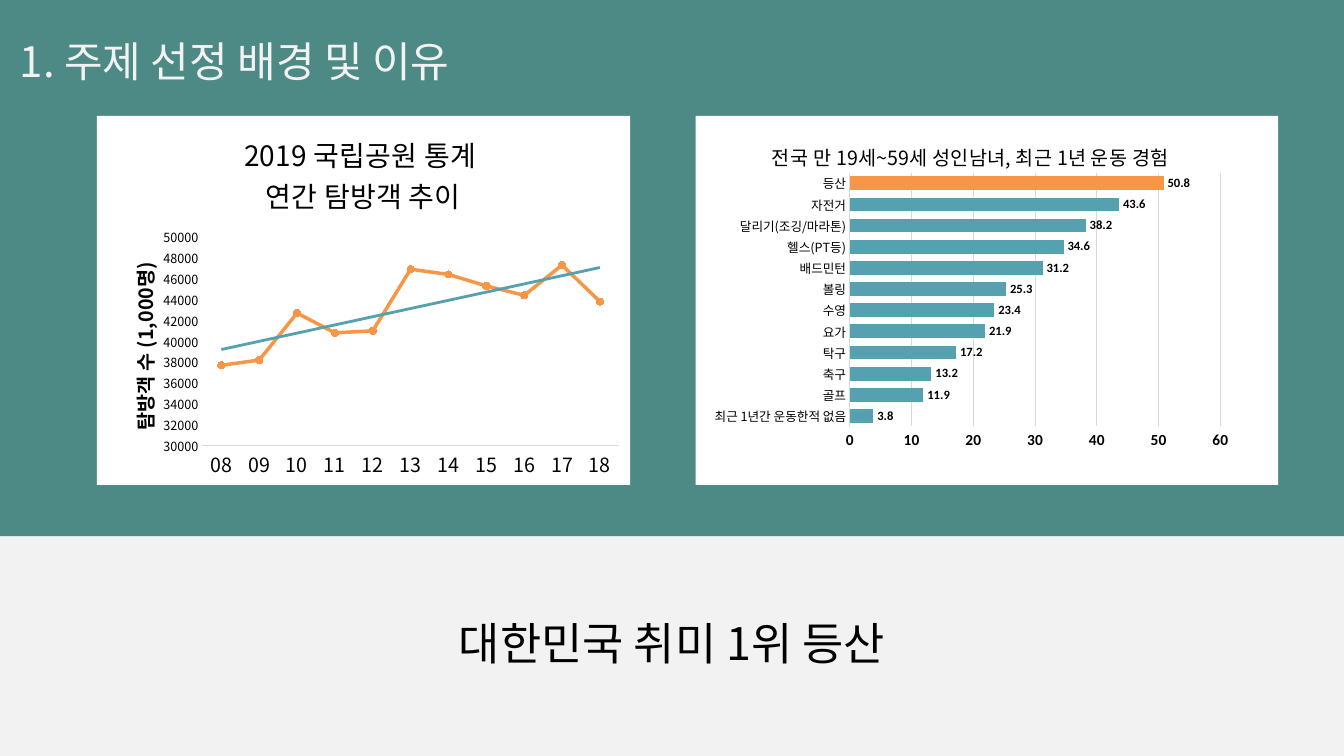
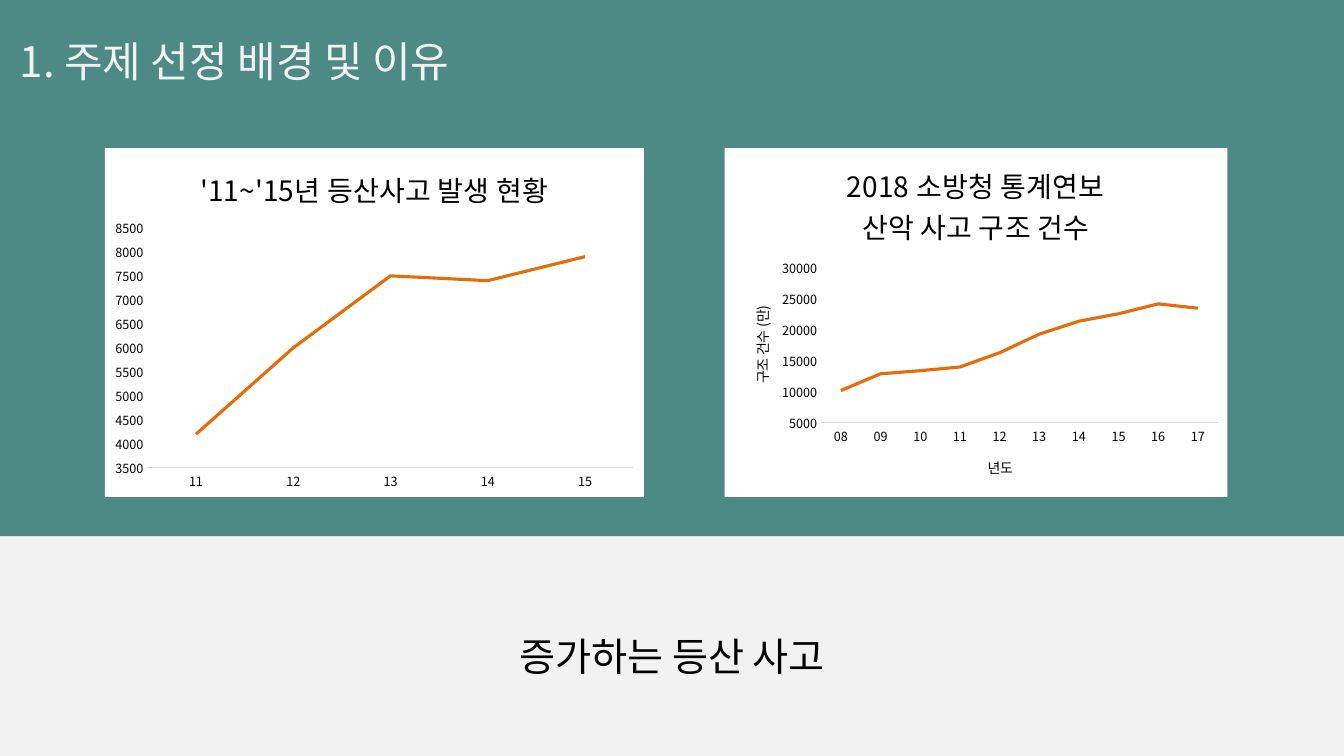
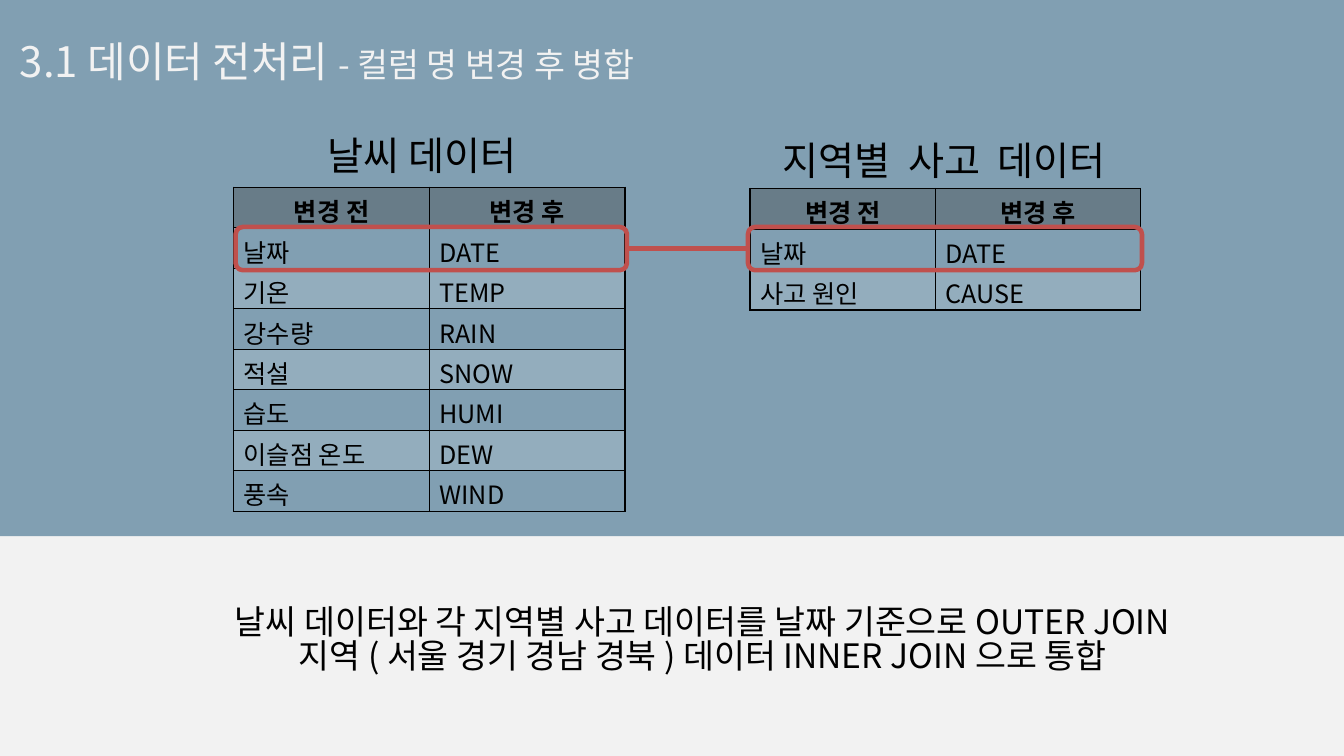
from lxml import etree
from pptx import Presentation, util as u
from pptx.chart.data import CategoryChartData
from pptx.dml.color import RGBColor
from pptx.enum import chart as ch, shapes, text
from pptx.oxml import parse_xml
from pptx.oxml.ns import nsdecls, qn

TEAL = RGBColor(0x4D, 0x8A, 0x85)
STEEL = RGBColor(0x65, 0x8B, 0xA3)
PAPER = RGBColor(0xF2, 0xF2, 0xF2)
WHITE = RGBColor(0xFF, 0xFF, 0xFF)
BLACK = RGBColor(0, 0, 0)
GRID = RGBColor(0xD9, 0xD9, 0xD9)
ORANGE = RGBColor(0xF7, 0x96, 0x46)
RUST = RGBColor(0xE4, 0x6C, 0x0A)
BAR = RGBColor(0x56, 0xA1, 0xB0)
HEADER = RGBColor(0x68, 0x7C, 0x88)
RED = RGBColor(0xC0, 0x50, 0x4D)
KOREAN = "Noto Sans CJK KR"
LATIN = "Calibri"
WIDTH, HEIGHT, BAND = 33.87, 19.05, 13.51
CENTER = text.PP_ALIGN.CENTER


def style(font, size, color=BLACK, bold=False, name=KOREAN):
    font.size, font.bold, font.name = u.Pt(size), bold, name
    font.color.rgb = color
    latin = font._element.find(qn("a:latin"))
    latin.addnext(parse_xml(f'<a:ea {nsdecls("a")} typeface="{name}"/>'))


def set_alpha(fill, percent):
    color = fill._xPr.find(qn("a:solidFill"))[0]
    etree.SubElement(color, qn("a:alpha")).set("val", str(percent * 1000))


def set_layout(parent, index, percents):
    old = parent.find(qn("c:layout"))
    if old is not None:
        parent.remove(old)
    layout = parse_xml(f'<c:layout {nsdecls("c")}><c:manualLayout/></c:layout>')
    entries = [("xMode", "edge"), ("yMode", "edge")]
    if len(percents) == 4:
        entries.insert(0, ("layoutTarget", "inner"))
    entries += [(side, str(p / 100)) for side, p in zip("xywh", percents)]
    for tag, value in entries:
        etree.SubElement(layout[0], qn(f"c:{tag}")).set("val", value)
    parent.insert(index, layout)


class Deck:
    def __init__(self):
        self.prs = Presentation()
        self.prs.slide_width = u.Cm(WIDTH)
        self.prs.slide_height = u.Cm(HEIGHT)

    def box(self, at):
        return [u.Cm(length) for length in at]

    def start(self, band, title_runs, title_width, opacity=100):
        self.slide = self.prs.slides.add_slide(self.prs.slide_layouts[6])
        backdrop = self.slide.background.fill
        backdrop.solid()
        backdrop.fore_color.rgb = PAPER
        panel = self.slide.shapes.add_shape(
            shapes.MSO_SHAPE.RECTANGLE, *self.box((0, 0, WIDTH, BAND)))
        panel.shadow.inherit = False
        panel.fill.solid()
        panel.fill.fore_color.rgb = band
        if opacity < 100:
            set_alpha(panel.fill, opacity)
        panel.line.fill.background()
        self.text((0.25, 0.13, title_width, 2.03), [title_runs],
                  color=PAPER, align=None, spacing=1.5)

    def text(self, at, paragraphs, color=BLACK, align=CENTER, spacing=None,
             anchor=text.MSO_ANCHOR.TOP):
        frame = self.slide.shapes.add_textbox(*self.box(at)).text_frame
        frame.word_wrap = True
        frame.vertical_anchor = anchor
        self.fill_frame(frame, paragraphs, color, align, spacing)

    def fill_frame(self, frame, paragraphs, color=BLACK, align=None,
                   spacing=None, bold=False):
        for i, runs in enumerate(paragraphs):
            para = frame.add_paragraph() if i else frame.paragraphs[0]
            para.alignment = align
            para.line_spacing = spacing
            for words, size in runs:
                run = para.add_run()
                run.text = words
                style(run.font, size, color, bold)

    def chart(self, kind, at, title, points, plot, title_size=20, title_at=None):
        data = CategoryChartData()
        data.categories = list(points)
        data.add_series("Series 1", list(points.values()))
        chart = self.slide.shapes.add_chart(kind, *self.box(at), data).chart
        style(chart.font, 10, name=LATIN)
        chart.has_legend = False
        chart.has_title = True
        self.fill_frame(chart.chart_title.text_frame,
                        [[(line, title_size)] for line in title])
        if title_at:
            set_layout(chart.chart_title._element, 1, title_at)
            chart.chart_title.include_in_layout = True
        space = chart._chartSpace
        space.find(qn("c:chart")).addnext(parse_xml(
            f'<c:spPr {nsdecls("c", "a")}><a:solidFill><a:srgbClr val="{WHITE}"/>'
            '</a:solidFill><a:ln><a:noFill/></a:ln></c:spPr>'))
        set_layout(space.find(".//" + qn("c:plotArea")), 0, plot)
        chart.plots[0].vary_by_categories = False
        self.axis(chart.category_axis, 9, line=GRID)
        self.axis(chart.value_axis, 9)
        return chart

    def axis(self, axis, size, line=None, bold=False, name=KOREAN):
        axis.major_tick_mark = axis.minor_tick_mark = ch.XL_TICK_MARK.NONE
        axis.has_major_gridlines = False
        style(axis.tick_labels.font, size, bold=bold, name=name)
        if line is None:
            axis.format.line.fill.background()
        else:
            axis.format.line.color.rgb = line
            axis.format.line.width = u.Pt(0.75)

    def axis_title(self, axis, words, size, at, bold=False):
        axis.has_title = True
        self.fill_frame(axis.axis_title.text_frame, [[(words, size)]], bold=bold)
        set_layout(axis.axis_title._element, 1, at)

    def scale(self, axis, low, high, step):
        axis.minimum_scale, axis.maximum_scale, axis.major_unit = low, high, step

    def gridlines(self, axis, color):
        axis.has_major_gridlines = True
        axis.major_gridlines.format.line.color.rgb = color
        axis.major_gridlines.format.line.width = u.Pt(0.75)

    def curve(self, chart, color, width):
        series = chart.plots[0].series[0]
        series.smooth = False
        series.format.line.color.rgb = color
        series.format.line.width = u.Pt(width)
        return series

    def table(self, at, widths, rows, row_height=1.02):
        size = (sum(widths), row_height * len(rows))
        table = self.slide.shapes.add_table(
            len(rows), len(widths), *self.box((*at, *size))).table
        table.first_row = table.horz_banding = False
        for column, width in zip(table.columns, widths):
            column.width = u.Cm(width)
        for r, row in enumerate(rows):
            for c, words in enumerate(row):
                cell = table.cell(r, c)
                self.fill_frame(cell.text_frame, [[(words, 18)]],
                                align=None if r else CENTER, bold=r == 0)
                self.cell_look(cell, r)

    def cell_look(self, cell, row):
        if row % 2:
            cell.fill.background()
        else:
            cell.fill.solid()
            cell.fill.fore_color.rgb = WHITE if row else HEADER
            if row:
                set_alpha(cell.fill, 15)
        for i, side in enumerate(("lnL", "lnR", "lnT", "lnB")):
            cell._tc.get_or_add_tcPr().insert(i, parse_xml(
                f'<a:{side} {nsdecls("a")} w="12700"><a:solidFill>'
                f'<a:srgbClr val="{BLACK}"/></a:solidFill></a:{side}>'))

    def ring(self, at):
        ring = self.slide.shapes.add_shape(
            shapes.MSO_SHAPE.ROUNDED_RECTANGLE, *self.box(at))
        ring.shadow.inherit = False
        ring.fill.background()
        ring.line.color.rgb = RED
        ring.line.width = u.Pt(3.25)
        return ring

    def join(self, left, right):
        link = self.slide.shapes.add_connector(
            shapes.MSO_CONNECTOR.STRAIGHT, 0, 0, 0, 0)
        link.begin_connect(left, 3)
        link.end_connect(right, 1)
        link.line.color.rgb = RED
        link.line.width = u.Pt(4)
        etree.SubElement(link._element.spPr, qn("a:effectLst"))


def years(first, values):
    return {f"{first + i:02}": value for i, value in enumerate(values)}


def hobby_slide(deck):
    deck.start(TEAL, [("1. 주제 선정 배경 및 이유", 30)], 13.59)
    visitors = deck.chart(
        ch.XL_CHART_TYPE.LINE_MARKERS, (2.44, 2.92, 13.44, 9.3),
        ["2019 국립공원 통계 ", "연간 탐방객 추이"],
        years(8, [37700, 38200, 42700, 40800, 41000, 46900, 46400, 45300,
                  44400, 47300, 43800]), (19.8, 32.8, 78.1, 56.6))
    visitors.category_axis.tick_labels.font.size = u.Pt(14)
    deck.scale(visitors.value_axis, 30000, 50000, 2000)
    deck.axis_title(visitors.value_axis, "탐방객 수 (1,000명)", 14, (5.2, 38.5), True)
    series = deck.curve(visitors, ORANGE, 2.5)
    series.marker.style = ch.XL_MARKER_STYLE.CIRCLE
    series.marker.size = 5
    series.marker.format.fill.solid()
    series.marker.format.fill.fore_color.rgb = ORANGE
    series.marker.format.line.color.rgb = ORANGE
    series._element.find(qn("c:cat")).addprevious(parse_xml(
        f'<c:trendline {nsdecls("c", "a")}><c:spPr><a:ln w="25400"><a:solidFill>'
        f'<a:srgbClr val="{BAR}"/></a:solidFill></a:ln></c:spPr>'
        '<c:trendlineType val="linear"/><c:dispRSqr val="0"/>'
        '<c:dispEq val="0"/></c:trendline>'))
    deck.text((2.82, 15.39, 28.24, 1.63), [[("대한민국 취미 1위 등산", 32)]])

    sports = deck.chart(
        ch.XL_CHART_TYPE.BAR_CLUSTERED, (17.53, 2.92, 14.68, 9.3),
        ["전국 만 19세~59세 성인남녀, 최근 1년 운동 경험"],
        {"최근 1년간 운동한적 없음": 3.8, "골프": 11.9, "축구": 13.2, "탁구": 17.2,
         "요가": 21.9, "수영": 23.4, "볼링": 25.3, "배드민턴": 31.2,
         "헬스(PT등)": 34.6, "달리기(조깅/마라톤)": 38.2, "자전거": 43.6,
         "등산": 50.8}, (26.5, 15.4, 63.6, 68.8), 14, (12.5, 5.5))
    deck.axis(sports.value_axis, 11, bold=True, name=LATIN)
    deck.scale(sports.value_axis, 0, 60, 10)
    deck.gridlines(sports.value_axis, GRID)
    plot = sports.plots[0]
    plot.gap_width, plot.overlap = 54, 20
    series = plot.series[0]
    for fill, color in ((series.format.fill, BAR),
                        (series.points[11].format.fill, ORANGE)):
        fill.solid()
        fill.fore_color.rgb = color
    labels = series.data_labels
    labels.show_value = True
    labels.position = ch.XL_LABEL_POSITION.OUTSIDE_END
    style(labels.font, 9, bold=True, name=LATIN)


def accident_slide(deck):
    deck.start(TEAL, [("1. 주제 선정 배경 및 이유", 30)], 13.59)
    rescues = deck.chart(
        ch.XL_CHART_TYPE.LINE, (18.26, 3.73, 12.67, 8.79),
        ["2018 소방청 통계연보", "산악 사고 구조 건수"],
        years(8, [10200, 12900, 13400, 14000, 16300, 19300, 21400, 22600,
                  24200, 23500]), (19.2, 34.4, 78.9, 44.4))
    deck.scale(rescues.value_axis, 5000, 30000, 5000)
    deck.axis_title(rescues.value_axis, "구조 건수 (만)", 10, (4.7, 44.5))
    deck.axis_title(rescues.category_axis, "년도", 10, (51.8, 87.5))
    deck.curve(rescues, RUST, 2.25)
    deck.text((4.9, 15.82, 24.08, 1.45), [[("증가하는 등산 사고", 28)]])

    accidents = deck.chart(
        ch.XL_CHART_TYPE.LINE, (2.64, 3.73, 13.59, 8.79),
        ["'11~'15년 등산사고 발생 현황"],
        years(11, [4200, 6000, 7500, 7400, 7900]), (7.9, 22.9, 90.2, 68.8))
    deck.scale(accidents.value_axis, 3500, 8500, 500)
    deck.gridlines(accidents.value_axis, WHITE)
    deck.curve(accidents, RUST, 2.25)


def merge_slide(deck):
    deck.start(STEEL, [("3.1 데이터 전처리 ", 30), ("- 컬럼 명 변경 후 병합", 24)],
               28.12, opacity=80)
    deck.text((4.52, 15.21, 26.37, 3.33), [
        [("날씨 데이터와 각 지역별 사고 데이터를 날짜 기준으로 OUTER JOIN", 24)],
        [("지역 ( 서울 경기 경남 경북 ) 데이터 INNER JOIN 으로 통합", 24)],
    ], spacing=0.82)
    shared = [("변경 전", "변경 후"), ("날짜", "DATE")]
    deck.table((5.89, 4.72), (4.93, 4.93), shared + [
        ("기온", "TEMP"), ("강수량", "RAIN"), ("적설", "SNOW"), ("습도", "HUMI"),
        ("이슬점 온도", "DEW"), ("풍속", "WIND")])
    deck.table((18.9, 4.75), (4.67, 5.18), shared + [("사고 원인", "CAUSE")])
    middle = text.MSO_ANCHOR.MIDDLE
    deck.text((7.34, 3.1, 6.6, 1.6), [[("날씨 데이터", 28)]], anchor=middle)
    deck.text((19.1, 3.23, 9.4, 1.6), [[("지역별  사고  데이터", 28)]], anchor=middle)
    weather_date = deck.ring((5.94, 5.72, 9.86, 1.09))
    accident_date = deck.ring((18.85, 5.72, 9.93, 1.09))
    deck.join(weather_date, accident_date)


def main():
    deck = Deck()
    hobby_slide(deck)
    accident_slide(deck)
    merge_slide(deck)
    deck.prs.save("out.pptx")


if __name__ == "__main__":
    main()
